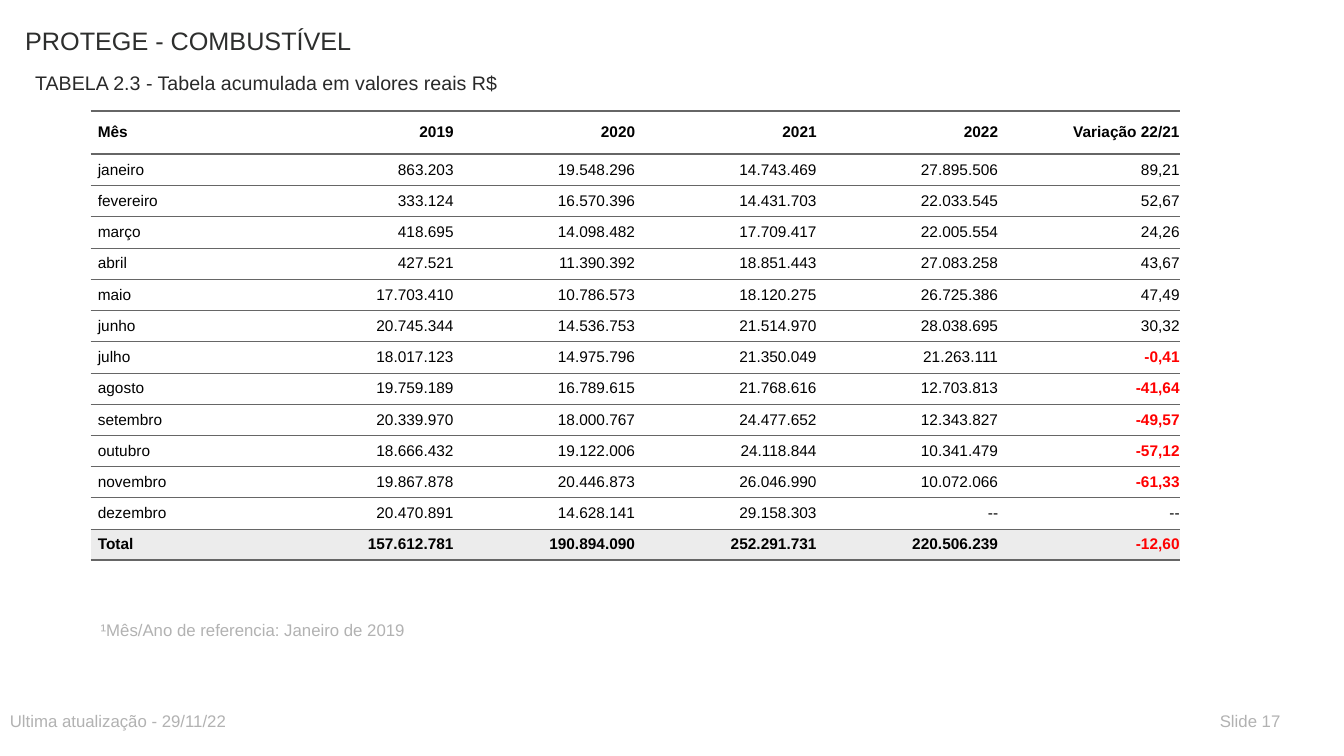
import dataclasses

import lxml.etree
import pptx
import pptx.dml.color
import pptx.enum.text
import pptx.oxml.ns
import pptx.util

PX = 9144  # EMU per px, 100 px to the inch


@dataclasses.dataclass(frozen=True)
class Theme:
    font: str = "Arial"
    title: str = "2D2E2D"
    subtitle: str = "292929"
    muted: str = "B2B2B2"
    ink: str = "000000"
    negative: str = "FF0000"
    paper: str = "FFFFFF"
    total_fill: str = "ECECEC"
    rule: str = "666666"
    title_size: int = 18
    subtitle_size: int = 14
    note_size: int = 12
    table_size: int = 11
    thin: float = 0.5
    thick: float = 2


@dataclasses.dataclass(frozen=True)
class Label:
    text: str
    left: int
    top: int
    width: int
    height: int
    size: int
    color: str


THEME = Theme()
TITLE = Label("PROTEGE - COMBUSTÍVEL", 15, 20, 800, 59, THEME.title_size, THEME.title)
LABELS = [
    Label("TABELA 2.3 - Tabela acumulada em valores reais R$", 25, 65, 650, 30,
          THEME.subtitle_size, THEME.subtitle),
    Label("¹Mês/Ano de referencia: Janeiro de 2019", 90, 610, 650, 30,
          THEME.note_size, THEME.muted),
    Label("Ultima atualização - 29/11/22", 0, 700, 650, 30, THEME.note_size, THEME.muted),
    Label("Slide 17", 1200, 700, 90, 30, THEME.note_size, THEME.muted),
]

TABLE_LEFT, TABLE_TOP = 90, 110
COLUMN_WIDTH, HEADER_HEIGHT, ROW_HEIGHT = 180, 43, 31
CELL_INSET = 7
CELL_SPACING = 5  # points
ROWS = [
    ("Mês", "2019", "2020", "2021", "2022", "Variação 22/21"),
    ("janeiro", "863.203", "19.548.296", "14.743.469", "27.895.506", "89,21"),
    ("fevereiro", "333.124", "16.570.396", "14.431.703", "22.033.545", "52,67"),
    ("março", "418.695", "14.098.482", "17.709.417", "22.005.554", "24,26"),
    ("abril", "427.521", "11.390.392", "18.851.443", "27.083.258", "43,67"),
    ("maio", "17.703.410", "10.786.573", "18.120.275", "26.725.386", "47,49"),
    ("junho", "20.745.344", "14.536.753", "21.514.970", "28.038.695", "30,32"),
    ("julho", "18.017.123", "14.975.796", "21.350.049", "21.263.111", "-0,41"),
    ("agosto", "19.759.189", "16.789.615", "21.768.616", "12.703.813", "-41,64"),
    ("setembro", "20.339.970", "18.000.767", "24.477.652", "12.343.827", "-49,57"),
    ("outubro", "18.666.432", "19.122.006", "24.118.844", "10.341.479", "-57,12"),
    ("novembro", "19.867.878", "20.446.873", "26.046.990", "10.072.066", "-61,33"),
    ("dezembro", "20.470.891", "14.628.141", "29.158.303", "--", "--"),
    ("Total", "157.612.781", "190.894.090", "252.291.731", "220.506.239", "-12,60"),
]


def rgb(color: str) -> pptx.dml.color.RGBColor:
    return pptx.dml.color.RGBColor.from_string(color)


def add_span(para, text: str, size: int, color: str, bold: bool = False) -> None:
    span = para.add_run()
    span.text = text
    span.font.name = THEME.font
    span.font.size = pptx.util.Pt(size)
    span.font.bold = bold
    span.font.color.rgb = rgb(color)


def fill_label(box, label: Label) -> None:
    """Place a text shape and write its single line at the top left."""
    box.left, box.top = label.left * PX, label.top * PX
    box.width, box.height = label.width * PX, label.height * PX
    frame = box.text_frame
    frame.word_wrap = True
    frame.auto_size = pptx.enum.text.MSO_AUTO_SIZE.NONE
    frame.vertical_anchor = pptx.enum.text.MSO_ANCHOR.TOP
    para = frame.paragraphs[0]
    para.alignment = pptx.enum.text.PP_ALIGN.LEFT
    add_span(para, label.text, label.size, label.color)


def set_borders(cell, top: float, bottom: float) -> None:
    """Rule the top and bottom in points and clear both sides."""
    properties = cell._tc.get_or_add_tcPr()
    sides = [("a:lnL", 0), ("a:lnR", 0), ("a:lnT", top), ("a:lnB", bottom)]
    for position, (tag, width) in enumerate(sides):
        line = lxml.etree.Element(pptx.oxml.ns.qn(tag), w=str(pptx.util.Pt(width)))
        if width:
            fill = lxml.etree.SubElement(line, pptx.oxml.ns.qn("a:solidFill"))
            lxml.etree.SubElement(fill, pptx.oxml.ns.qn("a:srgbClr"), val=THEME.rule)
        else:
            lxml.etree.SubElement(line, pptx.oxml.ns.qn("a:noFill"))
        properties.insert(position, line)


def fill_cell(cell, text: str, row: int, column: int) -> None:
    last = len(ROWS) - 1
    negative = text.startswith("-") and text != "--"
    cell.fill.solid()
    cell.fill.fore_color.rgb = rgb(THEME.total_fill if row == last else THEME.paper)
    cell.margin_left = cell.margin_right = 0
    cell.margin_top = cell.margin_bottom = CELL_INSET * PX
    cell.vertical_anchor = pptx.enum.text.MSO_ANCHOR.MIDDLE
    para = cell.text_frame.paragraphs[0]
    para.space_before = para.space_after = pptx.util.Pt(CELL_SPACING)
    align = pptx.enum.text.PP_ALIGN
    para.alignment = align.RIGHT if column else align.LEFT
    indent = para._p.get_or_add_pPr()
    indent.set("marL", str(CELL_INSET * PX))
    indent.set("indent", "0")
    add_span(para, text, THEME.table_size, THEME.negative if negative else THEME.ink,
             bold=negative or row in (0, last))
    set_borders(cell,
                top=THEME.thick if row in (0, 1) else THEME.thin,
                bottom=THEME.thick if row in (0, last) else THEME.thin)


def add_month_table(page) -> None:
    columns = len(ROWS[0])
    heights = [HEADER_HEIGHT] + [ROW_HEIGHT] * (len(ROWS) - 1)
    table = page.shapes.add_table(
        len(ROWS), columns, TABLE_LEFT * PX, TABLE_TOP * PX,
        columns * COLUMN_WIDTH * PX, sum(heights) * PX).table
    table.first_row = table.horz_banding = False
    for column in table.columns:
        column.width = COLUMN_WIDTH * PX
    for row, (height, values) in enumerate(zip(heights, ROWS)):
        table.rows[row].height = height * PX
        for column, text in enumerate(values):
            fill_cell(table.cell(row, column), text, row, column)


def main() -> None:
    deck = pptx.Presentation()
    deck.slide_width, deck.slide_height = 1333 * PX, 750 * PX
    page = deck.slides.add_slide(deck.slide_layouts.get_by_name("Title Only"))
    fill_label(page.shapes.title, TITLE)
    for label in LABELS:
        fill_label(page.shapes.add_textbox(0, 0, 0, 0), label)
    add_month_table(page)
    deck.save("out.pptx")


if __name__ == "__main__":
    main()
